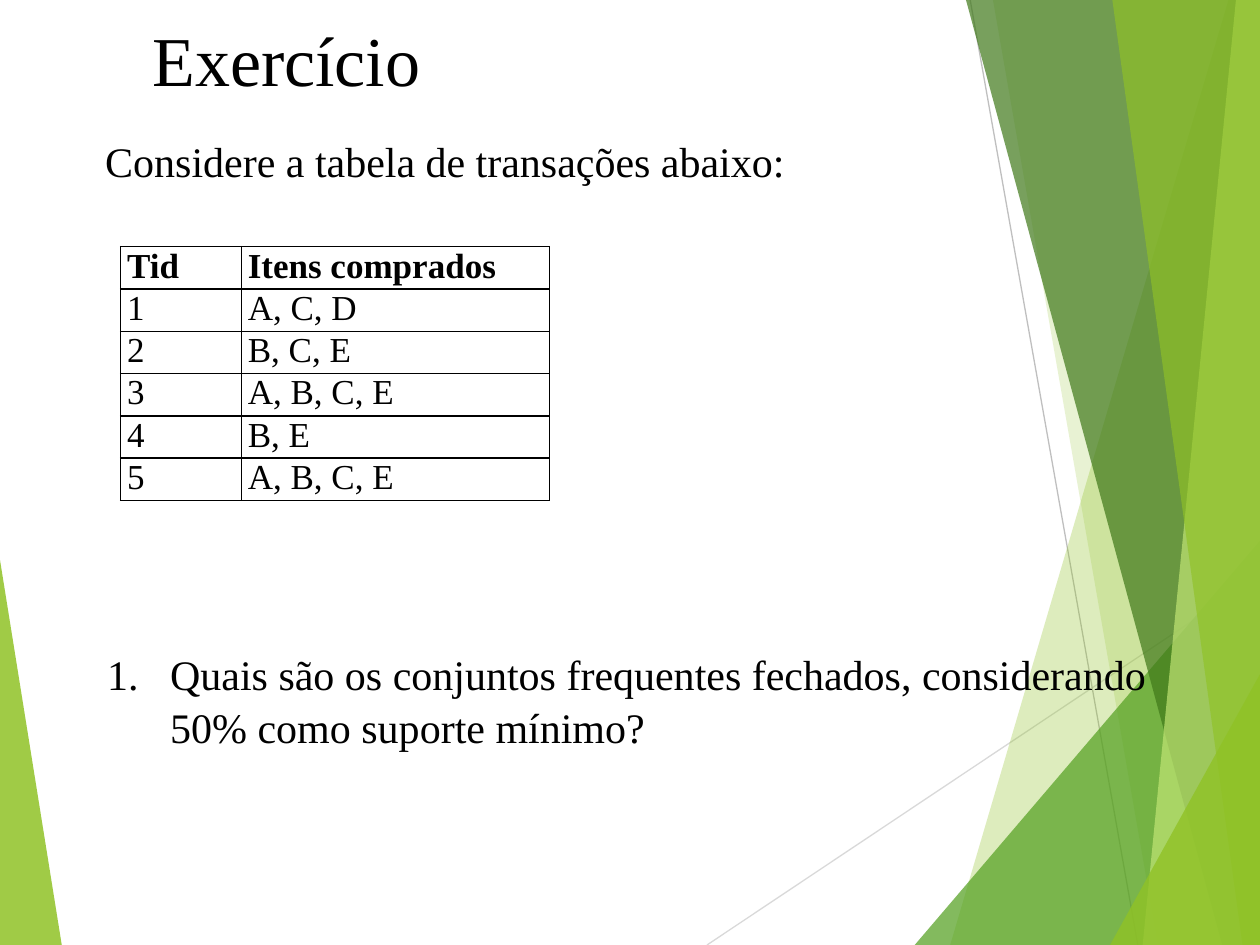
from lxml import etree
from pptx import Presentation
from pptx import util as u
from pptx.dml.color import RGBColor
from pptx.enum import shapes, text
from pptx.oxml import parse_xml
from pptx.oxml.ns import nsdecls, qn

Pt = u.Pt
FONT = "Times New Roman"
BLACK = "000000"
SLIDE_WIDTH, SLIDE_HEIGHT = 720, 540

# Slanted edge (start, end) of each facet, with its colour and opacity in percent
FACETS = [
    ((702, 0), (543, 540), "90C226", 30),
    ((567.4, 0), (661.7, 540), "90C226", 20),
    ((720, 309), (522.7, 540), "54A021", 72),
    ((552, 0), (698.4, 540), "3F7819", 70),
    ((706.3, 0), (653, 540), "C0E474", 70),
    ((635.6, 0), (710, 540), "90C226", 65),
    ((720, 385.2), (634.3, 540), "90C226", 80),
]
TRANSACTIONS = [
    ("Tid", "Itens comprados"),
    ("1", "A, C, D"),
    ("2", "B, C, E"),
    ("3", "A, B, C, E"),
    ("4", "B, E"),
    ("5", "A, B, C, E"),
]


def rgb(value):
    return RGBColor.from_string(value)


def place(shape, left, top, width, height):
    shape.left, shape.top = Pt(left), Pt(top)
    shape.width, shape.height = Pt(width), Pt(height)


def write(paragraph, words, size, bold=False):
    run = paragraph.add_run()
    run.text = words
    run.font.name = FONT
    run.font.size = Pt(size)
    run.font.bold = bold
    run.font.color.rgb = rgb(BLACK)


def set_frame(frame, anchor, wrap=True):
    frame.word_wrap = wrap
    frame.auto_size = text.MSO_AUTO_SIZE.NONE
    frame.vertical_anchor = anchor
    paragraph = frame.paragraphs[0]
    paragraph.alignment = text.PP_ALIGN.LEFT
    paragraph.space_before = Pt(0)
    return paragraph


def add_facet(slide, left, top, start, end, side, color, opacity):
    """Fill the area between a slanted edge and the vertical line x = side."""
    corners = [start, end, (side, end[1]), (side, start[1])]
    points = [(Pt(left + x), Pt(top + y)) for x, y in corners]
    builder = slide.shapes.build_freeform(*points[0], scale=1.0)
    builder.add_line_segments(points[1:], close=True)
    facet = builder.convert_to_shape()
    facet.shadow.inherit = False
    facet.line.fill.background()
    facet.fill.solid()
    facet.fill.fore_color.rgb = rgb(color)
    color_element = facet._element.spPr.find(".//" + qn("a:srgbClr"))
    etree.SubElement(color_element, qn("a:alpha"), val=str(opacity * 1000))


def add_ray(slide, left, top, start, end, color):
    ray = slide.shapes.add_connector(
        shapes.MSO_CONNECTOR.STRAIGHT,
        Pt(left + start[0]), Pt(top + start[1]),
        Pt(left + end[0]), Pt(top + end[1]))
    ray.line.color.rgb = rgb(color)
    ray.line.width = Pt(0.75)
    etree.SubElement(ray._element.spPr, qn("a:effectLst"))


def add_backdrop(slide, left, top, width, height):
    add_facet(slide, left, top, (0, 320), (35.3, height), 0, "90C226", 85)
    add_ray(slide, left, top, (404, height), (width, 329), "D9D9D9")
    add_ray(slide, left, top, (554.4, 0), (650.2, height), "BFBFBF")
    for start, end, color, opacity in FACETS:
        add_facet(slide, left, top, start, end, width, color, opacity)


def add_title(slide, left, top, width, height):
    title = slide.shapes.title
    place(title, left, top, width, height)
    write(set_frame(title.text_frame, text.MSO_ANCHOR.TOP), "Exercício", 40)


def add_introduction(slide, left, top, width, height):
    introduction = slide.shapes.add_textbox(
        Pt(left), Pt(top), Pt(width), Pt(height))
    paragraph = set_frame(
        introduction.text_frame, text.MSO_ANCHOR.MIDDLE, wrap=False)
    write(paragraph, "Considere a tabela de transações abaixo:", 24)


def add_borders(cell):
    properties = cell._tc.get_or_add_tcPr()
    for index, side in enumerate(("lnL", "lnR", "lnT", "lnB")):
        properties.insert(index, parse_xml(
            f'<a:{side} {nsdecls("a")} w="12700"><a:solidFill>'
            f'<a:srgbClr val="{BLACK}"/></a:solidFill></a:{side}>'))


def add_transactions(slide, left, top, width, height):
    table = slide.shapes.add_table(
        len(TRANSACTIONS), 2, Pt(left), Pt(top), Pt(width), Pt(height)).table
    table.first_row = table.horz_banding = False
    tid_width = 69
    table.columns[0].width = Pt(tid_width)
    table.columns[1].width = Pt(width - tid_width)
    for row_index, values in enumerate(TRANSACTIONS):
        table.rows[row_index].height = Pt(height / len(TRANSACTIONS))
        for column_index, value in enumerate(values):
            cell = table.cell(row_index, column_index)
            cell.margin_left = cell.margin_right = Pt(3.6)
            cell.margin_top = cell.margin_bottom = 0
            cell.fill.background()
            add_borders(cell)
            write(cell.text_frame.paragraphs[0], value, 20,
                  bold=row_index == 0)


def add_question(slide, left, top, width, height):
    question = slide.placeholders[1]
    place(question, left, top, width, height)
    slide.shapes._spTree.append(question._element)  # in front of the facets
    question.text_frame.margin_top = Pt(7)
    paragraph = question.text_frame.paragraphs[0]
    properties = paragraph._p.get_or_add_pPr()
    properties.set("marL", str(Pt(36)))
    properties.set("indent", str(-Pt(36)))
    etree.SubElement(properties, qn("a:buFont"), typeface=FONT)
    etree.SubElement(properties, qn("a:buAutoNum"), type="arabicPeriod")
    set_frame(question.text_frame, text.MSO_ANCHOR.TOP)
    paragraph.line_spacing = 1.05
    write(paragraph, "Quais são os conjuntos frequentes fechados, "
          "considerando 50% como suporte mínimo?", 24)


def main():
    presentation = Presentation()
    presentation.slide_width = Pt(SLIDE_WIDTH)
    presentation.slide_height = Pt(SLIDE_HEIGHT)
    slide = presentation.slides.add_slide(presentation.slide_layouts[1])
    add_backdrop(slide, 0, 0, SLIDE_WIDTH, SLIDE_HEIGHT)
    add_transactions(slide, 69, 141, 245, 145)
    add_question(slide, 54, 362, 627, 138)
    add_title(slide, 80, 6, 535, 55)
    add_introduction(slide, 53, 74, 406, 36)
    presentation.save("out.pptx")


if __name__ == "__main__":
    main()
